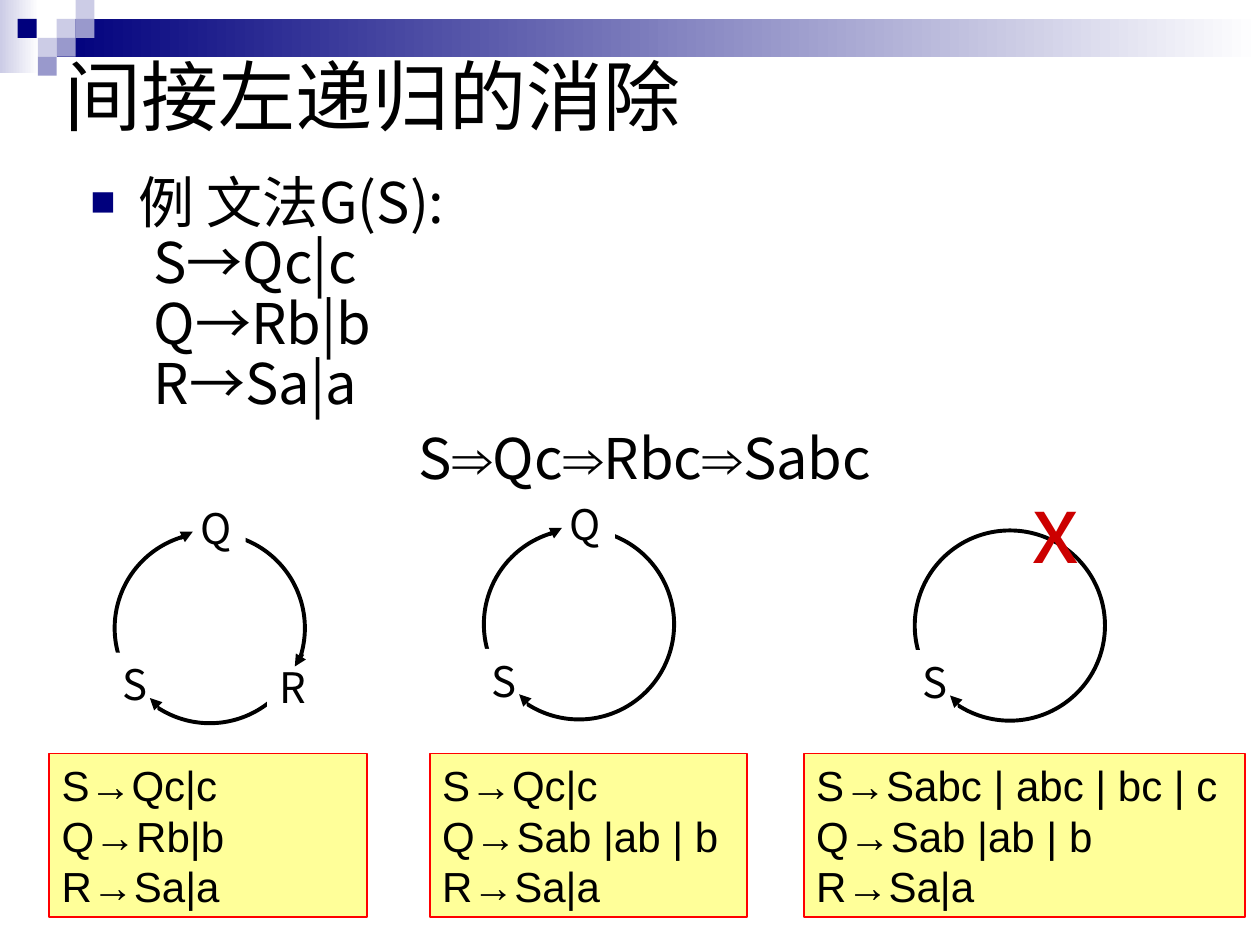
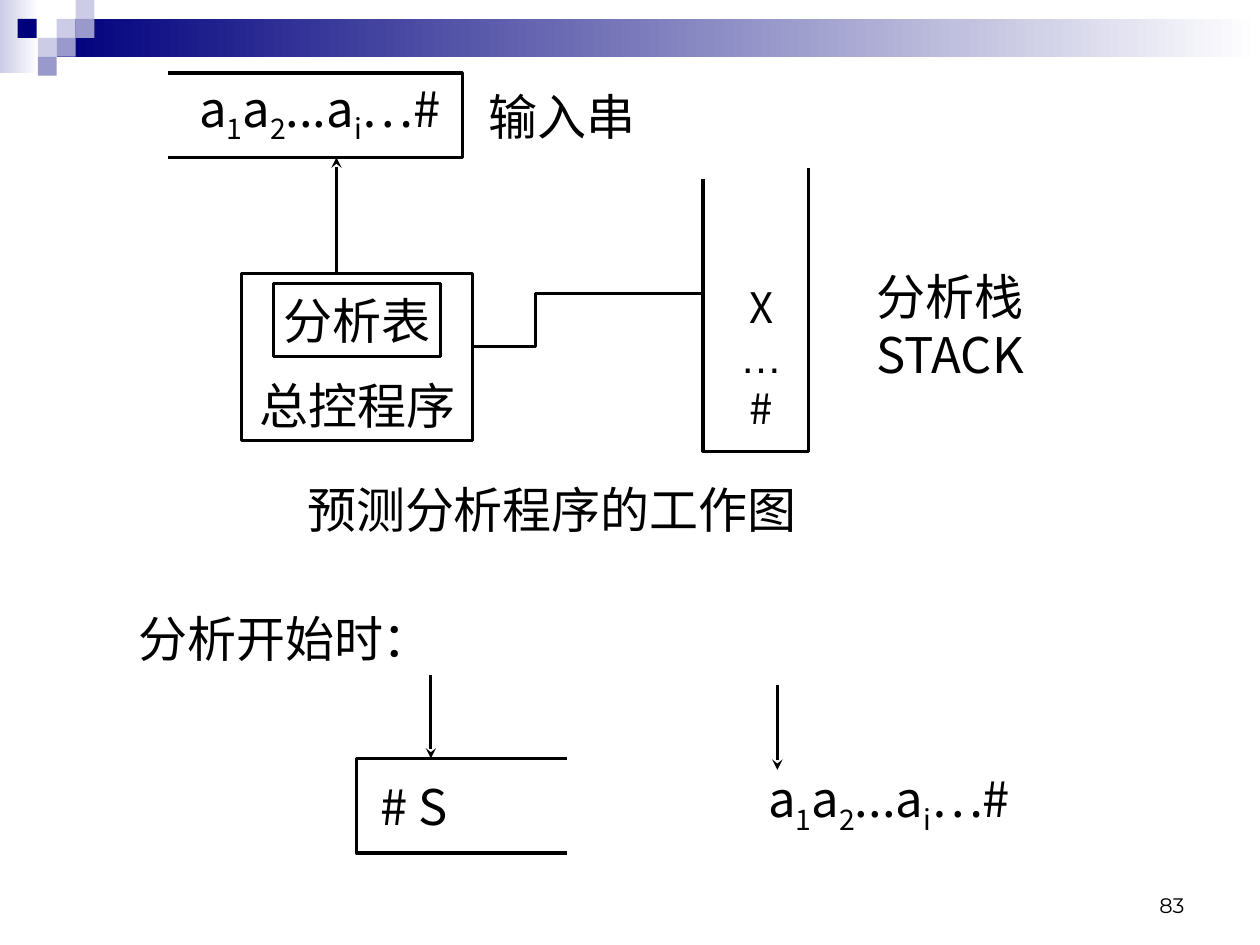
import pptx
import pptx.util
import pptx.dml.color
import pptx.enum.shapes
import pptx.enum.text
import pptx.oxml.ns
from lxml import etree

Inches = pptx.util.Inches
Pt = pptx.util.Pt
SHAPE = pptx.enum.shapes.MSO_SHAPE
ALIGN = pptx.enum.text.PP_ALIGN
ANCHOR = pptx.enum.text.MSO_ANCHOR
qn = pptx.oxml.ns.qn

CJK = "Noto Sans CJK SC"
BLACK, WHITE = "000000", "FFFFFF"
NAVY, LILAC, VIOLET = "00007D", "CCCCE6", "9999CC"
LINE_HEIGHT = 1.2
SUB = {"baseline": -25000}
ARIAL = {"font": "Arial"}
INPUT = [("a", {}), ("1", SUB), ("a", {}), ("2", SUB), ("...a", {}), ("i", SUB), ("…#", {})]
DERIVATION = [("S", {}), ("⇒", ARIAL), ("Qc", {}), ("⇒", ARIAL),
              ("Rbc", {}), ("⇒", ARIAL), ("Sabc", {})]


def rgb(value):
    return pptx.dml.color.RGBColor.from_string(value)


def set_all(target, values):
    for name, value in values.items():
        setattr(target, name, value)


def child(parent, tag, **attrs):
    return etree.SubElement(parent, qn(tag), attrs)


def add_run(p, text, size, font=CJK, color=BLACK, baseline=None):
    r = p.add_run()
    r.text = text
    set_all(r.font, {"size": Pt(size), "name": font})
    r.font.color.rgb = rgb(color)
    rPr = r.font._element
    child(rPr, "a:ea", typeface=font)
    if baseline:
        rPr.set("baseline", str(baseline))


def write(tf, lines, size, font=CJK, color=BLACK, align=ALIGN.LEFT,
          anchor=ANCHOR.TOP, wrap=False, height=LINE_HEIGHT):
    set_all(tf, {"word_wrap": wrap, "vertical_anchor": anchor,
                 "auto_size": pptx.enum.text.MSO_AUTO_SIZE.NONE,
                 "margin_left": Inches(0.1), "margin_right": Inches(0.1),
                 "margin_top": Inches(0.05), "margin_bottom": Inches(0.05)})
    for i, line in enumerate(lines):
        p = tf.add_paragraph() if i else tf.paragraphs[0]
        p.alignment = align
        if height:
            p.line_spacing = Pt(round(size * height, 1))
        for text, extra in [(line, {})] if isinstance(line, str) else line:
            add_run(p, text, size, **{"font": font, "color": color, **extra})


def add_text(s, at, lines, size=28, **style):
    sp = s.shapes.add_textbox(*map(Inches, at))
    write(sp.text_frame, lines, size, **style)
    return sp


def add_label(s, at, lines, size=28):
    add_text(s, at, lines, size, align=ALIGN.CENTER, anchor=ANCHOR.MIDDLE)


def paint(sp, fill, line, width):
    sp.shadow.inherit = False
    if isinstance(fill, tuple):
        sp.fill.gradient()
        sp.fill.gradient_angle = 0
        for stop, color in zip(sp.fill.gradient_stops, fill):
            stop.color.rgb = rgb(color)
    elif fill:
        sp.fill.solid()
        sp.fill.fore_color.rgb = rgb(fill)
    else:
        sp.fill.background()
    if line:
        sp.line.color.rgb = rgb(line)
        sp.line.width = Pt(width)
    else:
        sp.line.fill.background()


def add_box(s, at, fill=None, line=None, width=1.75, kind=SHAPE.RECTANGLE):
    sp = s.shapes.add_shape(kind, *map(Inches, at))
    paint(sp, fill, line, width)
    return sp


def add_path(s, points):
    points = [tuple(map(Inches, point)) for point in points]
    builder = s.shapes.build_freeform(*points[0])
    builder.add_line_segments(points[1:], close=False)
    paint(builder.convert_to_shape(), None, BLACK, 1.75)


def add_arrow(s, start, end, width=1.75, head="stealth"):
    sp = s.shapes.add_connector(pptx.enum.shapes.MSO_CONNECTOR.STRAIGHT,
                                *map(Inches, start + end))
    sp.line.color.rgb = rgb(BLACK)
    sp.line.width = Pt(width)
    child(sp.line._get_or_add_ln(), "a:tailEnd", type=head)
    child(sp._element.spPr, "a:effectLst")


def add_band(s):
    add_box(s, (0, 0, 0.31, 0.58), (LILAC, WHITE))
    add_box(s, (0.45, 0.15, 9.55, 0.3), (NAVY, WHITE))
    for x, y, color in [(0.45, 0.15, LILAC), (0.6, 0, LILAC), (0.6, 0.15, VIOLET),
                        (0.3, 0.3, LILAC), (0.14, 0.15, NAVY),
                        (0.45, 0.3, VIOLET), (0.3, 0.45, VIOLET)]:
        add_box(s, (x, y, 0.15, 0.15), color)


def add_title(s, text):
    sp = s.shapes.title
    set_all(sp, {"left": Inches(0.41), "top": Inches(0.05),
                 "width": Inches(8.74), "height": Inches(1.41)})
    write(sp.text_frame, [text], 44, anchor=ANCHOR.MIDDLE, wrap=True)


def add_grammar(s):
    sp = add_text(s, (0.62, 1.33, 9, 3.42),
                  ["例 文法G(S):", "S→Qc|c", "Q→Rb|b", "R→Sa|a", DERIVATION],
                  32, wrap=True, height=0.9 * LINE_HEIGHT)
    paragraphs = sp.text_frame.paragraphs
    for p in paragraphs:
        rule = p in paragraphs[1:4]
        left, hang = (0.81, 0.31) if rule else (0.38, 0.38)
        pPr = p._p.get_or_add_pPr()
        pPr.set("marL", str(Inches(left)))
        pPr.set("indent", str(-Inches(hang)))
    set_all(paragraphs[-1], {"alignment": ALIGN.CENTER, "space_before": Pt(8)})
    pPr = paragraphs[0]._p.get_or_add_pPr()
    child(child(pPr, "a:buClr"), "a:srgbClr", val=NAVY)
    child(pPr, "a:buSzPct", val="75000")
    child(pPr, "a:buFont", typeface="Arial")
    child(pPr, "a:buChar", char="■")


def add_cycle(s, x, y, names):
    nodes = {"S": ((-0.04, 0.95, 0.38), (0.33, 1.36), (0.28, 1.31)),
             "Q": ((0.58, -0.29, 0.46), (0.52, 0.04), (0.62, -0.01)),
             "R": ((1.21, 0.97, 0.41), (1.49, 0.96), (1.43, 1.06))}
    add_box(s, (x, y, 1.51, 1.51), line=BLACK, width=2.25, kind=SHAPE.OVAL)
    for name in names:
        dx, dy, width = nodes[name][0]
        sp = add_box(s, (x + dx, y + dy, width, 0.5), WHITE)
        write(sp.text_frame, [name], 24)
    for name in names:
        start, end = [(x + dx, y + dy) for dx, dy in nodes[name][1:]]
        add_arrow(s, start, end, 2.25, "triangle")


def add_rules(s, x, width, rules):
    sp = add_box(s, (x, 5.98, width, 1.3), "FFFF99", "FF0000", 1)
    write(sp.text_frame, rules, 24, font="Arial", wrap=True, height=None)


def recursion_slide(prs):
    s = prs.slides.add_slide(prs.slide_layouts[5])
    add_band(s)
    add_title(s, "间接左递归的消除")
    add_grammar(s)
    for x, y, names in [(0.91, 4.23, "SQR"), (3.84, 4.2, "SQ"), (7.26, 4.21, "S")]:
        add_cycle(s, x, y, names)
    for x, width, s_rule, q_rule in [
            (0.39, 2.52, "S→Qc|c", "Q→Rb|b"),
            (3.41, 2.52, "S→Qc|c", "Q→Sab |ab | b"),
            (6.38, 3.5, "S→Sabc | abc | bc | c", "Q→Sab |ab | b")]:
        add_rules(s, x, width, [s_rule, q_rule, "R→Sa|a"])
    add_text(s, (7.91, 3.67, 0.64, 1), ["ⅹ"], 54, color="CC0000")


def parser_slide(prs):
    s = prs.slides.add_slide(prs.slide_layouts[6])
    add_band(s)
    add_text(s, (7.17, 6.83, 2.33, 0.5), ["83"], 12, font="Montserrat",
             align=ALIGN.RIGHT, anchor=ANCHOR.BOTTOM, wrap=True)
    for at, text, anchor in [((1.92, 2.17, 1.83, 1.33), "总控程序", ANCHOR.BOTTOM),
                             ((2.17, 2.25, 1.33, 0.58), "分析表", ANCHOR.MIDDLE)]:
        sp = add_box(s, at, line=BLACK)
        write(sp.text_frame, [text], 28, align=ALIGN.CENTER, anchor=anchor)
    for points in [
            [(5.58, 1.42), (5.58, 3.58), (6.42, 3.58), (6.42, 1.33)],
            [(1.33, 0.58), (3.67, 0.58), (3.67, 1.25), (1.33, 1.25)],
            [(3.75, 2.75), (4.25, 2.75), (4.25, 2.33), (5.58, 2.33)],
            [(4.5, 6.02), (2.83, 6.02), (2.83, 6.77), (4.5, 6.77)]]:
        add_path(s, points)
    add_label(s, (5.75, 2.17, 0.58, 1.33), ["X", [("…", ARIAL)], "#"], 24)
    for at, lines in [((3.42, 0.67, 2.08, 0.5), ["输入串"]),
                      ((6.5, 2.33, 2.08, 0.5), ["分析栈", "STACK"]),
                      ((1.5, 0.67, 2.08, 0.5), [INPUT]),
                      ((2.42, 3.75, 3.92, 0.58), ["预测分析程序的工作图"])]:
        add_label(s, at, lines)
    for x, line in [(2.92, "# S"), (6, INPUT)]:
        add_text(s, (x, 6.11, 1.42, 0.58), [line], anchor=ANCHOR.MIDDLE)
    add_text(s, (1, 4.78, 2.53, 0.57), ["分析开始时："])
    for start, end in [((2.67, 2.17), (2.67, 1.25)),
                       ((3.42, 5.36), (3.42, 6.02)),
                       ((6.17, 5.44), (6.17, 6.11))]:
        add_arrow(s, start, end)


def main():
    prs = pptx.Presentation()
    set_all(prs, {"slide_width": Inches(10), "slide_height": Inches(7.5)})
    recursion_slide(prs)
    parser_slide(prs)
    prs.save("out.pptx")


if __name__ == "__main__":
    main()
